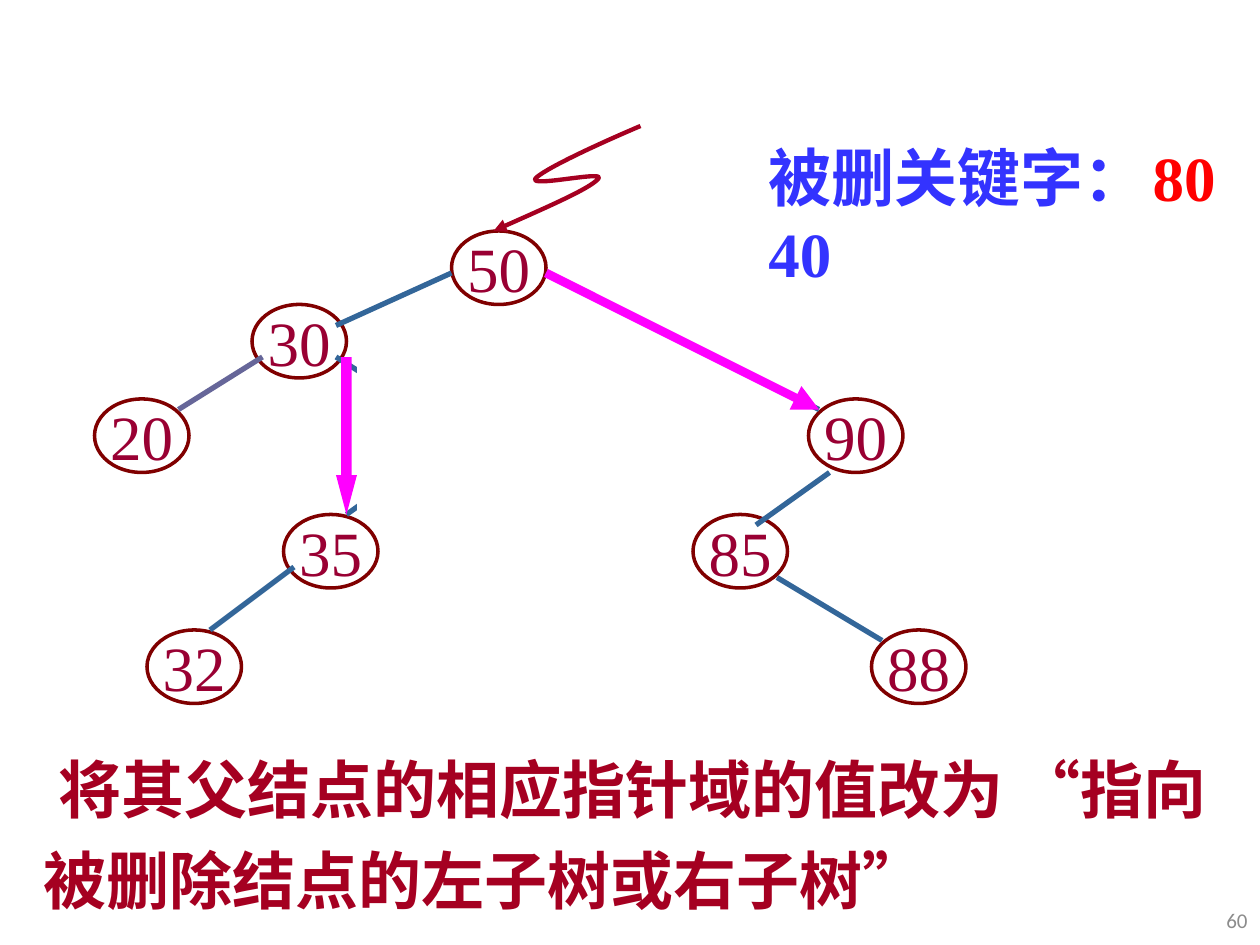
from dataclasses import dataclass
from pptx import Presentation
from pptx.dml.color import RGBColor
from pptx.enum.shapes import MSO_CONNECTOR as Connector, MSO_SHAPE as Shape
from pptx.enum.text import MSO_ANCHOR as Anchor, PP_ALIGN as Align
from pptx.oxml.ns import qn
from pptx.util import Inches, Pt
from lxml.etree import SubElement

NODES = [("50", 43, 22), ("30", 24, 29), ("20", 9, 38), ("90", 77, 38),
         ("85", 66, 49), ("35", 27, 49), ("88", 83, 60), ("32", 14, 60)]
NODE_SIZE = (9, 7)
LEFT_LEAF_EDGE = (25, 34, 17, 39)
EDGES = [(43, 26, 32, 31), LEFT_LEAF_EDGE, (52, 26, 62, 31), (32, 34, 40, 39),
         (40, 44, 33, 49), (70, 35, 78, 39), (79, 45, 72, 50),
         (74, 55, 84, 61), (28, 54, 20, 60)]
ROOT_POINTER = [(61, 12), (56.3, 14), (51.7, 16.2), (51, 17), (50.3, 17.9),
                (57.7, 16.2), (57, 17), (56.3, 17.9), (51.7, 19.9), (47, 22)]
NEW_LEFT_LINK = (32, 34, 2, 15)
NEW_RIGHT_LINK = (52, 26, 78, 39)
REMOVED_LINKS = [(34, 34, 15, 15), (61, 28, 11, 9)]
RULE = " 将其父结点的相应指针域的值改为 “指向被删除结点的左子树或右子树”"
DELETED_KEYS = "被删关键字： 40"
CURRENT_KEY = "80"
PAGE_NUMBER = "60"


@dataclass(frozen=True)
class Theme:
    serif: str = "Times New Roman"
    sans: str = "Calibri"
    large: int = 36
    small: int = 12
    white: str = "FFFFFF"
    outline: str = "800000"
    key: str = "990033"
    edge: str = "336699"
    leaf_edge: str = "666699"
    accent: str = "FF00FF"
    crimson: str = "A50021"
    blue: str = "3333FF"
    red: str = "FF0000"
    grey: str = "8C8C8C"


theme = Theme()


def rgb(color):
    return RGBColor.from_string(color)


def grid(*units):
    return [round(Inches(unit / 12)) for unit in units]


def write(shape, text, color, font=theme.serif, size=theme.large, bold=False,
          align=Align.LEFT, anchor=Anchor.TOP, wrap=False):
    frame = shape.text_frame
    frame.word_wrap = wrap
    frame.vertical_anchor = anchor
    para = frame.paragraphs[0]
    para.text = text
    para.alignment = align
    para.font.name = font
    para.font.size = Pt(size)
    para.font.bold = bold
    para.font.color.rgb = rgb(color)
    return para


def add_block(shapes, kind, place, fill=None, outline=None):
    shape = shapes.add_shape(kind, *place)
    shape.shadow.inherit = False
    if fill:
        shape.fill.solid()
        shape.fill.fore_color.rgb = rgb(fill)
    else:
        shape.fill.background()
    if outline:
        stroke(shape, outline, 2)
    else:
        shape.line.fill.background()
    return shape


def stroke(shape, color, width, arrow=False):
    shape.line.color.rgb = rgb(color)
    shape.line.width = Pt(width)
    if arrow:
        SubElement(shape.line._get_or_add_ln(), qn("a:tailEnd"), type="triangle")


def add_line(shapes, ends, color, width, arrow=False):
    line = shapes.add_connector(Connector.STRAIGHT, *grid(*ends))
    stroke(line, color, width, arrow)
    SubElement(line._element.spPr, qn("a:effectLst"))


def add_curve(shapes, points, color, width):
    start, *rest = [tuple(grid(*point)) for point in points]
    builder = shapes.build_freeform(*start)
    builder.add_line_segments(rest, close=False)
    curve = builder.convert_to_shape()
    curve.shadow.inherit = False
    curve.fill.background()
    stroke(curve, color, width, arrow=True)
    outline = next(curve._element.iter(qn("a:path")))
    steps = outline.findall(qn("a:lnTo"))
    for first in range(0, len(steps), 3):
        bezier = SubElement(outline, qn("a:cubicBezTo"))
        for step in steps[first:first + 3]:
            bezier.append(step[0])
            outline.remove(step)


def add_tree(page):
    shapes = page.shapes.add_group_shape().shapes
    for key, left, top in NODES:
        node = add_block(shapes, Shape.OVAL, grid(left, top, *NODE_SIZE),
                         outline=theme.outline)
        write(node, key, theme.key, align=Align.CENTER, anchor=Anchor.MIDDLE)
    for ends in EDGES:
        color = theme.leaf_edge if ends == LEFT_LEAF_EDGE else theme.edge
        add_line(shapes, ends, color, 3)
    add_curve(shapes, ROOT_POINTER, theme.crimson, 2.5)


def add_relinks(page):
    arrow = add_block(page.shapes, Shape.DOWN_ARROW, grid(*NEW_LEFT_LINK), theme.accent)
    arrow.adjustments[0] = 0.5
    arrow.adjustments[1] = 1.88
    for place in REMOVED_LINKS:
        add_block(page.shapes, Shape.RECTANGLE, grid(*place), theme.white)
    add_line(page.shapes, NEW_RIGHT_LINK, theme.accent, 5, arrow=True)


def add_captions(page, width, height):
    def place(left, top, wide, high):
        return [round(width * left), round(height * top),
                round(width * wide), round(height * high)]

    number = page.shapes.add_textbox(*place(0.957, 0.947, 0.043, 0.053))
    write(number, PAGE_NUMBER, theme.grey, theme.sans, theme.small,
          align=Align.RIGHT, anchor=Anchor.MIDDLE)
    rule = page.shapes.add_textbox(*place(0.025, 0.772, 0.95, 0.205))
    write(rule, RULE, theme.crimson, bold=True, wrap=True).line_spacing = 1.2
    keys = page.shapes.add_textbox(*place(0.6, 0.14, 0.387, 0.095))
    keys.text_frame.margin_right = Inches(0.4)
    write(keys, DELETED_KEYS, theme.blue, bold=True, wrap=True)
    current = add_block(page.shapes, Shape.RECTANGLE,
                        place(0.905, 0.14, 0.07, 0.093), theme.white)
    write(current, CURRENT_KEY, theme.red, bold=True)


def main():
    deck = Presentation()
    deck.slide_width, deck.slide_height = Inches(10), Inches(7.5)
    page = deck.slides.add_slide(deck.slide_layouts[6])
    add_tree(page)
    add_relinks(page)
    add_captions(page, deck.slide_width, deck.slide_height)
    deck.save("out.pptx")


if __name__ == "__main__":
    main()
